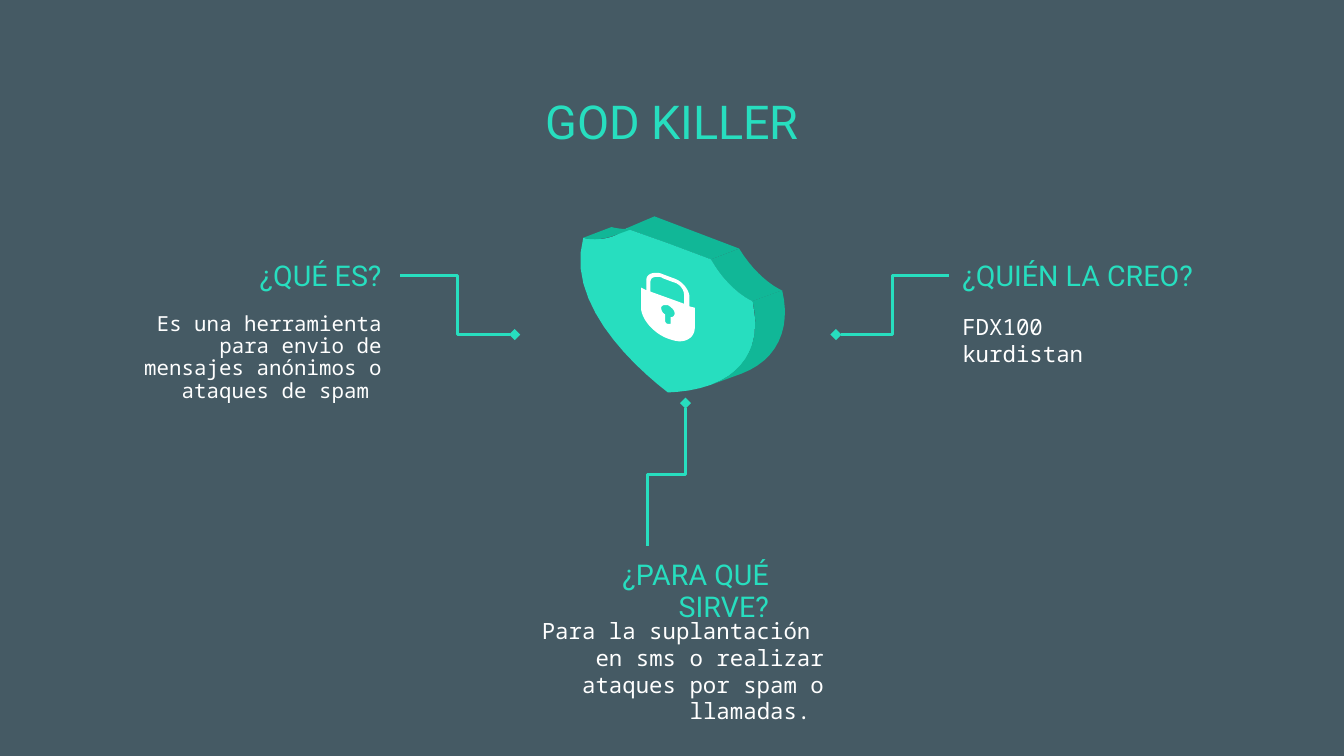
from dataclasses import dataclass

from pptx import Presentation
from pptx.dml.color import RGBColor
from pptx.enum.shapes import MSO_CONNECTOR
from pptx.enum.text import MSO_ANCHOR, MSO_AUTO_SIZE, PP_ALIGN
from pptx.oxml.ns import qn
from pptx.util import Inches, Pt
from lxml.etree import SubElement


@dataclass(frozen=True)
class Theme:
    back: RGBColor = RGBColor.from_string("455A64")
    mint: RGBColor = RGBColor.from_string("27DEBF")
    teal: RGBColor = RGBColor.from_string("11B797")
    white: RGBColor = RGBColor.from_string("FFFFFF")
    sans: str = "Roboto"
    mono: str = "Noto Sans Mono"
    title: float = 25
    head: float = 15.3
    body: float = 12
    small: float = 11.1
    line: float = 1.5


THEME = Theme()
WIDTH = Inches(10)
HEIGHT = WIDTH * 9 // 16
LEFT, MID, RIGHT = PP_ALIGN.LEFT, PP_ALIGN.CENTER, PP_ALIGN.RIGHT

ROOF = [(57, 1), (36, 10), (67, 21), (99, 33), (120, 25)]
NOTCH = [(120, 25), (99, 33), (112, 56, 129, 64, 130, 64), (152, 56),
         (151, 56, 134, 48, 120, 25)]
FRONT = [(36, 10), (28, 17, 19, 18, 13, 18), (8, 18, 4, 17, 4, 17),
         (-9, 63, 37, 109, 67, 132), (96, 131, 142, 120, 130, 64),
         (129, 64, 112, 56, 99, 33), (67, 21)]
LIP = [(47, 8), (40, 11, 33, 11, 25, 9), (4, 17), (11, 19, 18, 18, 25, 16)]
RIM = [(152, 56), (130, 64), (137, 93, 126, 116, 100, 126), (122, 118),
       (148, 108, 159, 85, 152, 56)]
LOOP = [(59, 46), (60, 46, 62, 46, 63, 47), (71, 50), (76, 51, 79, 56, 79, 59),
        (79, 66), (54, 57), (54, 50), (54, 47, 56, 46, 59, 46)]
KEY = [(65, 67), (67, 67), (70, 69, 72, 71, 72, 73), (72, 75, 71, 76, 69, 76),
       (69, 81), (67, 81), (66, 81, 65, 80, 65, 79), (65, 74),
       (63, 73, 62, 71, 62, 69), (62, 68, 63, 67, 65, 67)]
CASE = [(58, 43), (54, 43, 51, 45, 51, 48), (51, 56), (47, 54), (47, 69),
        (47, 77, 56, 88, 67, 92), (70, 93, 73, 94, 76, 94),
        (82, 94, 87, 90, 87, 84), (87, 69), (83, 68), (83, 61),
        (83, 56, 78, 49, 71, 47), (63, 44), (61, 43, 59, 43, 58, 43)]


def assign(item, values):
    for name, value in values.items():
        setattr(item, name, value)


def write(shape, box, lines, size, face, tint, align, **space):
    places = ("left", "top", "width", "height")
    assign(shape, dict(zip(places, map(Inches, box))))
    frame = shape.text_frame
    sides = ("margin_left", "margin_top", "margin_right", "margin_bottom")
    assign(frame, dict.fromkeys(sides, Inches(0.1)))
    assign(frame, {"word_wrap": True, "auto_size": MSO_AUTO_SIZE.NONE,
                   "vertical_anchor": MSO_ANCHOR.TOP})
    for i, line in enumerate(lines):
        para = frame.add_paragraph() if i else frame.paragraphs[0]
        form = {"alignment": align, "line_spacing": 1.0,
                "space_before": Pt(0), "space_after": Pt(0)}
        assign(para, form | space)
        props = para._p.get_or_add_pPr()
        props.set("marL", "0")
        props.set("indent", "0")
        SubElement(props, qn("a:buNone"))
        run = para.add_run()
        run.text = line
        assign(run.font, {"name": face, "size": Pt(size), "bold": False})
        run.font.color.rgb = tint


def callout(box, slots, head, lines, align, size=THEME.body, gap=0.39,
            wide=1.99, pitch=1.0):
    x, y = box
    write(slots[0], (x, y, 1.99, 0.61), [head], THEME.head, THEME.sans,
          THEME.mint, align, line_spacing=0.95, space_after=Pt(12))
    write(slots[1], (x, y + gap, wide, 0.89), lines, size, THEME.mono,
          THEME.white, align, line_spacing=pitch)


def elbow(slide, start, end, turn=0):
    link = slide.shapes.add_connector(
        MSO_CONNECTOR.ELBOW, *map(Inches, start + end))
    link.line.color.rgb = THEME.mint
    link.line.width = Pt(THEME.line)
    props = link._element.spPr
    props.find(qn("a:xfrm")).set("rot", str(turn * 60000))
    SubElement(link.line._get_or_add_ln(), qn("a:headEnd"), type="diamond")
    SubElement(props, qn("a:effectLst"))


def trace(steps, left, top, count=12):
    spots = [steps[0]]
    for step in steps[1:]:
        if len(step) == 2:
            spots.append(step)
            continue
        a, b, c, d = spots[-1], step[:2], step[2:4], step[4:]
        for i in range(1, count + 1):
            t = i / count
            u = 1 - t
            spots.append(tuple(
                u**3 * p + 3 * u * u * t * q + 3 * u * t * t * r + t**3 * s
                for p, q, r, s in zip(a, b, c, d)))
    return [(Inches(left + x / 100), Inches(top + y / 100)) for x, y in spots]


def shield(slide, left, top):
    group = slide.shapes.add_group_shape()
    parts = [([ROOF], THEME.teal), ([NOTCH], THEME.teal), ([FRONT], THEME.mint),
             ([LIP], THEME.teal), ([RIM], THEME.teal),
             ([LOOP, KEY, CASE], THEME.white)]
    for loops, tint in parts:
        first, *rest = [trace(loop, left, top) for loop in loops]
        pen = group.shapes.build_freeform(*first[0])
        pen.add_line_segments(first[1:])
        for spots in rest:
            pen.move_to(*spots[0])
            pen.add_line_segments(spots[1:])
        shape = pen.convert_to_shape()
        shape.shadow.inherit = False
        shape.fill.solid()
        shape.fill.fore_color.rgb = tint
        shape.line.fill.background()


def main():
    deck = Presentation()
    assign(deck, {"slide_width": WIDTH, "slide_height": HEIGHT})
    slide = deck.slides.add_slide(deck.slide_layouts.get_by_name("Comparison"))
    slide.background.fill.solid()
    slide.background.fill.fore_color.rgb = THEME.back
    write(slide.shapes.title, (0.78, 0.59, 8.44, 0.58), ["GOD KILLER"],
          THEME.title, THEME.sans, THEME.mint, MID)
    slots = [slide.placeholders[i] for i in range(1, 5)]
    slots += [slide.shapes.add_textbox(0, 0, 0, 0) for _ in range(2)]
    callout((0.95, 1.84), slots[:2], "¿QUÉ ES?",
            ["Es una herramienta para envio de mensajes anónimos o ataques de spam "],
            RIGHT, size=THEME.small, pitch=0.9)
    callout((3.83, 4.06), slots[4:], "¿PARA QUÉ SIRVE?",
            ["Para la suplantación  en sms o realizar ataques por spam o llamadas. "],
            RIGHT, gap=0.43, wide=2.4)
    callout((7.06, 1.84), slots[2:4], "¿QUIÉN LA CREO?",
            ["FDX100", "kurdistan"], LEFT)
    elbow(slide, (4.43, 3.39), (5.49, 3.67), turn=90)
    elbow(slide, (6.22, 2.49), (7.06, 2.05))
    elbow(slide, (3.83, 2.49), (2.98, 2.05))
    shield(slide, 4.3, 1.6)
    deck.save("out.pptx")


if __name__ == "__main__":
    main()
